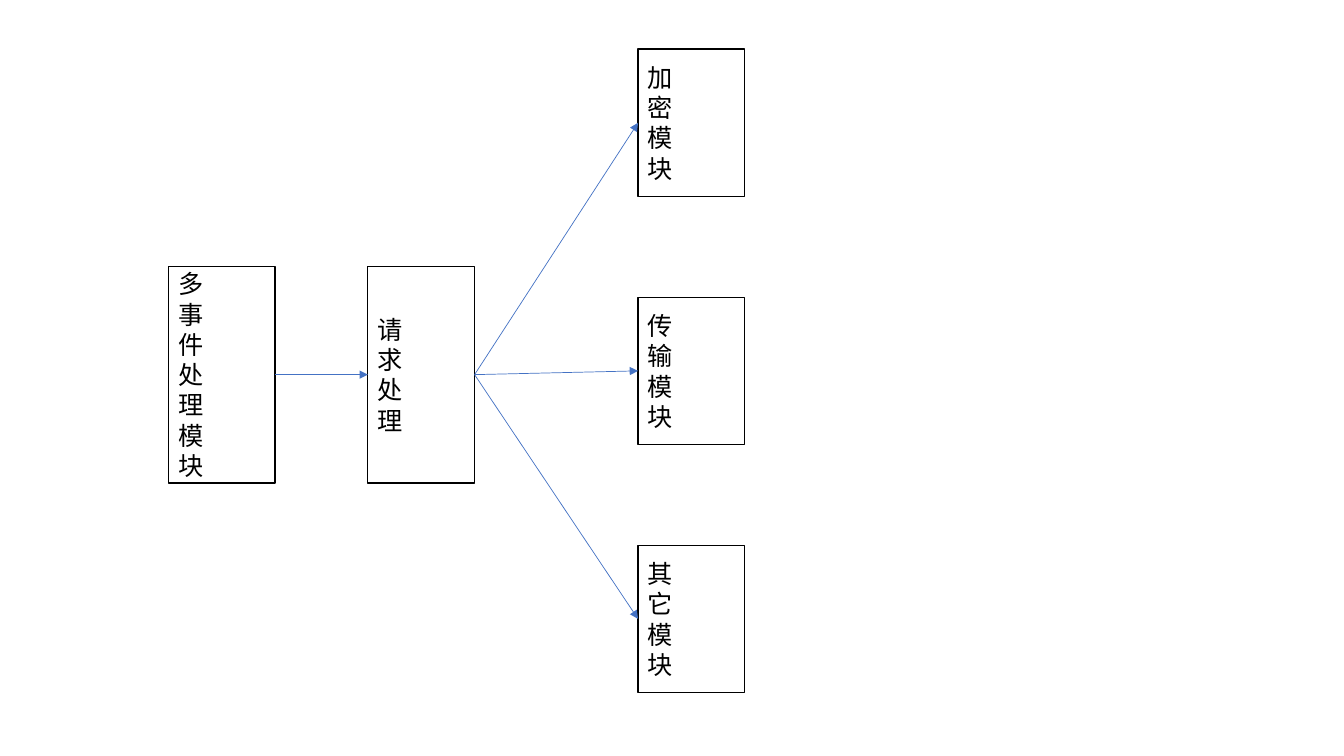
from dataclasses import dataclass

from pptx import Presentation
from pptx import util as u
from pptx.dml import color
from pptx.enum import shapes, text
from pptx.oxml import ns
from lxml import etree


@dataclass(frozen=True)
class Theme:
    paper: color.RGBColor = color.RGBColor(0xFF, 0xFF, 0xFF)
    ink: color.RGBColor = color.RGBColor(0, 0, 0)
    arrow: color.RGBColor = color.RGBColor(0x44, 0x72, 0xC4)
    font: str = "Noto Sans CJK SC"
    size: u.Pt = u.Pt(18)
    border: u.Pt = u.Pt(1)
    arrow_width: u.Pt = u.Pt(0.5)


@dataclass(frozen=True)
class Box:
    label: str
    left: float
    top: float
    height: float


THEME = Theme()
BOX_WIDTH = 2.69
LEFT_SITE, RIGHT_SITE = 1, 3  # connection sites of a rectangle


def add_box(slide, box: Box):
    """Draw a bordered box with one character of its label per line."""
    sp = slide.shapes.add_shape(
        shapes.MSO_SHAPE.RECTANGLE,
        u.Cm(box.left), u.Cm(box.top), u.Cm(BOX_WIDTH), u.Cm(box.height))
    sp.shadow.inherit = False
    sp.fill.solid()
    sp.fill.fore_color.rgb = THEME.paper
    sp.line.color.rgb = THEME.ink
    sp.line.width = THEME.border

    tf = sp.text_frame
    tf.word_wrap = True
    tf.vertical_anchor = text.MSO_ANCHOR.MIDDLE
    tf.text = "\n".join(box.label)
    for p in tf.paragraphs:
        p.alignment = text.PP_ALIGN.JUSTIFY
        for r in p.runs:
            r.font.size = THEME.size
            r.font.color.rgb = THEME.ink
            r.font.name = THEME.font
            # Chinese characters take the East Asian typeface
            ea = etree.SubElement(r._r.get_or_add_rPr(), ns.qn("a:ea"))
            ea.set("typeface", THEME.font)
    return sp


def add_arrow(slide, source, target) -> None:
    """Join the right side of source to the left side of target."""
    line = slide.shapes.add_connector(shapes.MSO_CONNECTOR.STRAIGHT, 0, 0, 0, 0)
    line.begin_connect(source, RIGHT_SITE)
    line.end_connect(target, LEFT_SITE)
    line.line.color.rgb = THEME.arrow
    line.line.width = THEME.arrow_width
    etree.SubElement(line.line._get_or_add_ln(), ns.qn("a:tailEnd")).set("type", "triangle")
    etree.SubElement(line._element.spPr, ns.qn("a:effectLst"))


prs = Presentation()
prs.slide_width, prs.slide_height = u.Cm(33.87), u.Cm(19.05)
slide = prs.slides.add_slide(prs.slide_layouts[6])

# Event handling and request handling
events = add_box(slide, Box("多事件处理模块", 4.24, 6.71, 5.46))
requests = add_box(slide, Box("请求处理", 9.27, 6.71, 5.46))

# Modules, evenly stacked on the right
modules = [
    add_box(slide, Box(label, 16.08, 1.24 + 6.25 * i, 3.71))
    for i, label in enumerate(("加密模块", "传输模块", "其它模块"))
]

# Flow
add_arrow(slide, events, requests)
for module in modules:
    add_arrow(slide, requests, module)

prs.save("out.pptx")
